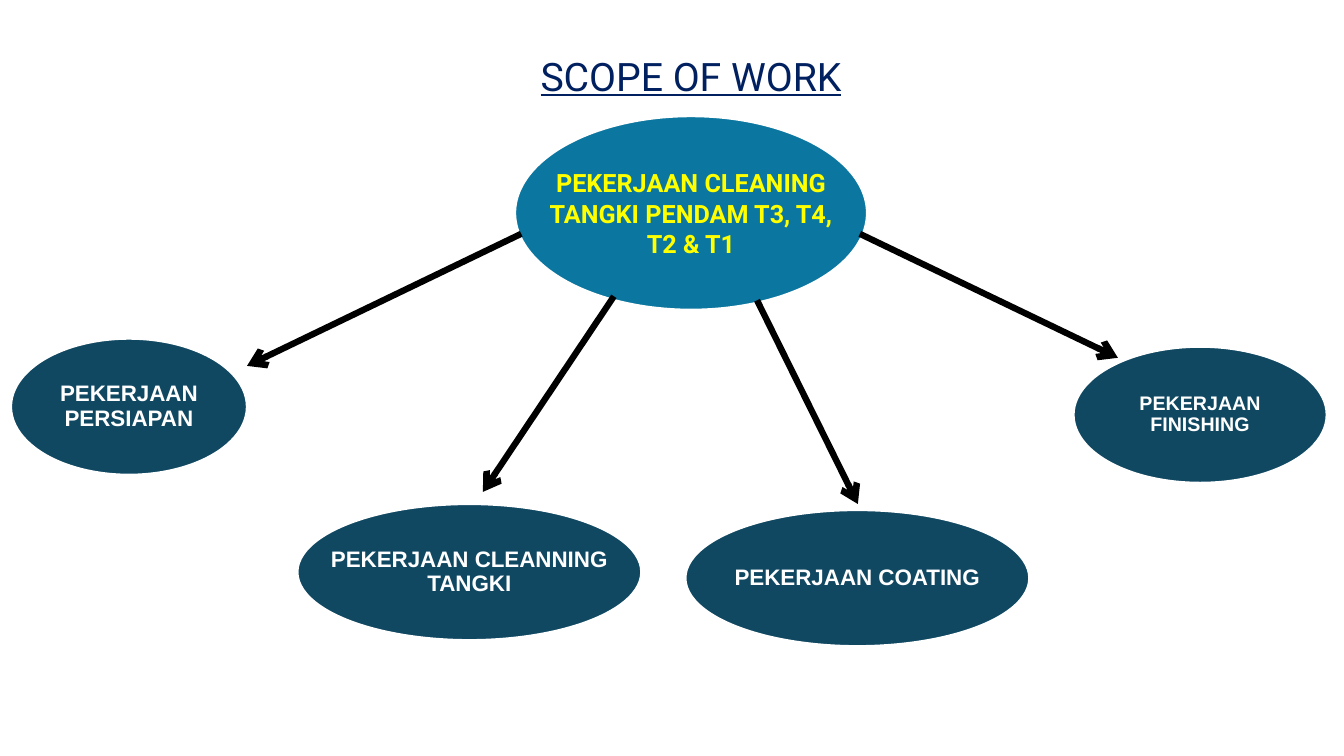
from pptx import Presentation
from pptx.dml.color import RGBColor
from pptx.enum.shapes import MSO_CONNECTOR as LINK, MSO_SHAPE as SHAPE
from pptx.enum.text import MSO_ANCHOR as ANCHOR, PP_ALIGN as ALIGN
from pptx.oxml.ns import qn
from pptx.util import Inches, Pt
from lxml.etree import SubElement as sub

deck = Presentation()
deck.slide_width, deck.slide_height = Inches(13.333), Inches(7.5)
slide = deck.slides.add_slide(deck.slide_layouts[6])
col, row = deck.slide_width / 100, deck.slide_height / 100


def paint(part, tone):
    if hasattr(part, "solid"):
        part.solid()
        part = part.fore_color
    part.rgb = RGBColor.from_string(tone)


def write(text, box, fill=None, font="Arial", size=16, tone="FFFFFF",
          bold=False, under=False, space=1.0):
    x, y, w, h = box
    area = [round(n) for n in (x * col, y * row, w * col, h * row)]
    if fill:
        shape = slide.shapes.add_shape(SHAPE.OVAL, *area)
        shape.shadow.inherit = False
        paint(shape.fill, fill)
        paint(shape.line.fill, "FFFFFF")
        shape.line.width = Pt(1.5)
    else:
        shape = slide.shapes.add_textbox(*area)
    frame = shape.text_frame
    frame.word_wrap = not fill
    frame.vertical_anchor = ANCHOR.MIDDLE if fill else ANCHOR.TOP
    para = frame.paragraphs[0]
    para.text = text
    para.alignment = ALIGN.CENTER
    para.line_spacing = space
    for run in para.runs:
        run.font.name, run.font.size = font, Pt(size)
        run.font.bold, run.font.underline = bold, under
        paint(run.font.color, tone)


write("PEKERJAAN CLEANING\vTANGKI PENDAM T3, T4,\vT2 & T1",
      (38.33, 15.37, 26.18, 25.6), fill="0B76A0", font="Roboto",
      size=18, tone="FFFF00", bold=True)

tasks = [
    ("PEKERJAAN\vPERSIAPAN", 0.82, 44.8, 17.55, 16),
    ("PEKERJAAN\vFINISHING", 79.88, 45.87, 18.83, 14),
    ("PEKERJAAN CLEANNING\vTANGKI", 22.13, 66.67, 25.58, 16),
    ("PEKERJAAN COATING", 51, 67.47, 25.58, 16),
]
for text, x, y, w, size in tasks:
    write(text, (x, y, w, 18), fill="104862", size=size, bold=True, space=0.9)

write("SCOPE OF WORK", (32.85, 6.27, 37.13, 7.6), font="Roboto", size=28,
      tone="002060", under=True)

arrows = [
    (38.78, 30.93, 18.38, 48.4),
    (63.98, 30.93, 83.18, 47.33),
    (56.33, 39.73, 63.83, 66.67),
    (45.68, 39.2, 35.93, 65.07),
]
for x1, y1, x2, y2 in arrows:
    ends = [round(n) for n in (x1 * col, y1 * row, x2 * col, y2 * row)]
    arrow = slide.shapes.add_connector(LINK.STRAIGHT, *ends)
    paint(arrow.line.fill, "000000")
    arrow.line.width = Pt(4.5)
    sub(arrow.line._get_or_add_ln(), qn("a:tailEnd"), type="arrow")
    sub(arrow._element.spPr, qn("a:effectLst"))

deck.save("out.pptx")
